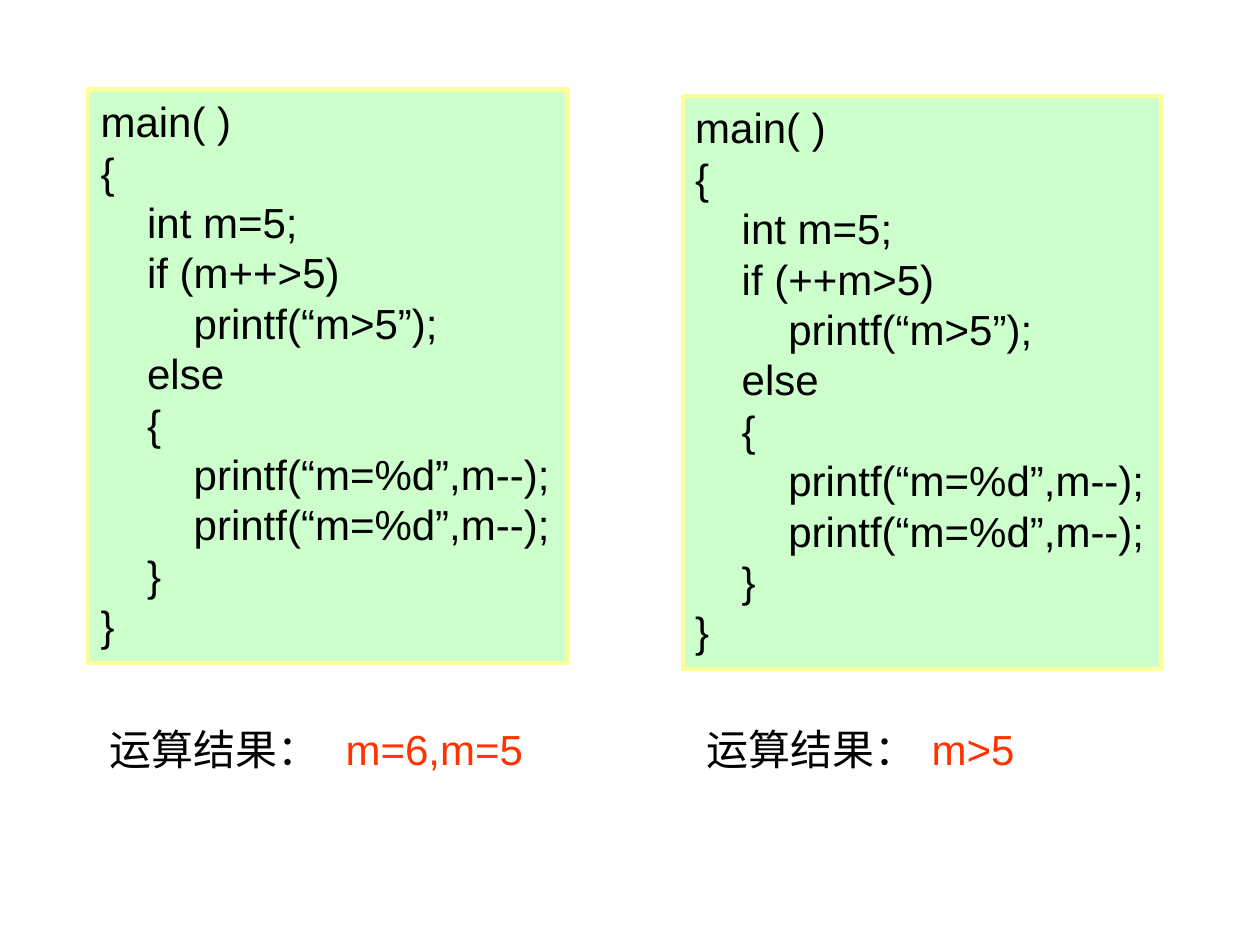
from dataclasses import dataclass

from lxml import etree
from pptx import Presentation
from pptx.dml.color import RGBColor
from pptx.enum import shapes, text
from pptx.oxml import ns
from pptx.util import Pt


@dataclass(frozen=True)
class Theme:
    font: str = "Arial"
    size: float = 24
    ink: RGBColor = RGBColor(0x00, 0x00, 0x00)
    hot: RGBColor = RGBColor(0xFF, 0x33, 0x00)
    fill: RGBColor = RGBColor(0xCC, 0xFF, 0xCC)
    edge: RGBColor = RGBColor(0xFF, 0xFF, 0x99)
    rim: float = 2.5


@dataclass(frozen=True)
class Panel:
    left: float
    top: float
    test: str
    note: float
    width: float
    stop: float
    answer: str


THEME = Theme()
CODE = """main( )
{{
    int m=5;
    if ({test})
        printf(“m>5”);
    else
    {{
        printf(“m=%d”,m--);
        printf(“m=%d”,m--);
    }}
}}"""
PANELS = [
    Panel(50.4, 51.1, "m++>5", 55.4, 255.6, 135, "m=6,m=5"),
    Panel(390.2, 54.7, "++m>5", 396.7, 195.1, 128.5, "m>5"),
]


def style(para) -> None:
    para.alignment = text.PP_ALIGN.LEFT
    para.font.name = THEME.font
    para.font.size = Pt(THEME.size)


def draw_code(slide, panel: Panel) -> None:
    box = slide.shapes.add_shape(
        shapes.MSO_SHAPE.RECTANGLE,
        Pt(panel.left), Pt(panel.top), Pt(273.6), Pt(327.6))
    box.shadow.inherit = False
    box.fill.solid()
    box.fill.fore_color.rgb = THEME.fill
    box.line.color.rgb = THEME.edge
    box.line.width = Pt(THEME.rim)
    frame = box.text_frame
    frame.word_wrap = False
    frame.auto_size = text.MSO_AUTO_SIZE.SHAPE_TO_FIT_TEXT
    frame.vertical_anchor = text.MSO_ANCHOR.TOP
    frame.text = CODE.format(test=panel.test)
    for para in frame.paragraphs:
        style(para)
        para.font.color.rgb = THEME.ink


def draw_note(slide, panel: Panel) -> None:
    box = slide.shapes.add_textbox(
        Pt(panel.note), Pt(409.7), Pt(panel.width), Pt(36))
    frame = box.text_frame
    frame.word_wrap = True
    frame.auto_size = text.MSO_AUTO_SIZE.SHAPE_TO_FIT_TEXT
    para = frame.paragraphs[0]
    tabs = etree.SubElement(para._p.get_or_add_pPr(), ns.qn("a:tabLst"))
    etree.SubElement(tabs, ns.qn("a:tab"), pos=str(Pt(panel.stop)), algn="l")
    style(para)
    for words, color in (("运算结果：\t", THEME.ink), (panel.answer, THEME.hot)):
        run = para.add_run()
        run.text = words
        run.font.color.rgb = color


def main() -> None:
    deck = Presentation()
    deck.slide_width, deck.slide_height = Pt(720), Pt(540)
    slide = deck.slides.add_slide(deck.slide_layouts[6])
    for panel in PANELS:
        draw_code(slide, panel)
        draw_note(slide, panel)
    deck.save("out.pptx")


if __name__ == "__main__":
    main()
